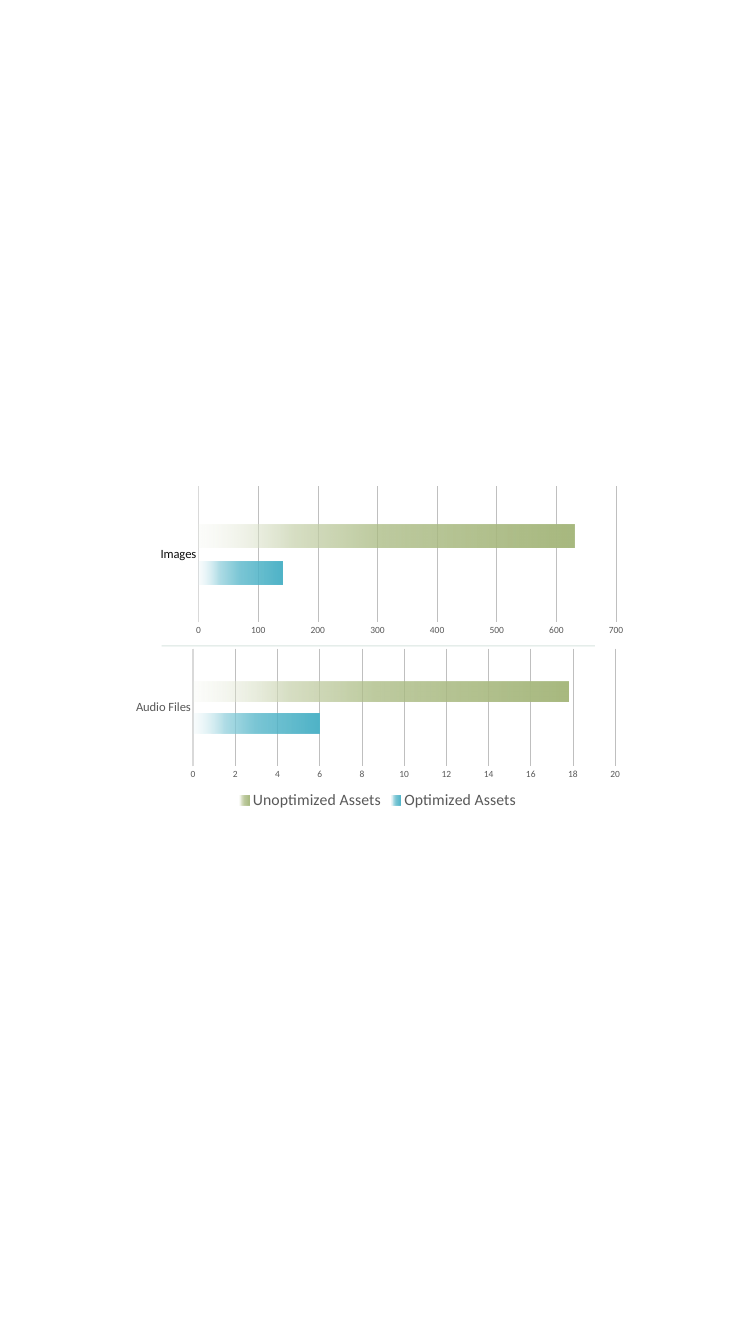
import pptx
import pptx.chart.data
import pptx.dml.color
import pptx.enum.chart
import pptx.enum.shapes
import pptx.oxml
import pptx.oxml.ns
import pptx.util
import lxml.etree

PX = 9144
HUES = {
    "black": "000000", "ink": "0D0D0D", "gray": "595959",
    "axis": "D9D9D9", "grid": "BFBFBF", "rule": "B5CDC4",
}
TEAL = ("50B4C8", "50B4C8", "96D2DE", "DCF0F4")
GREEN = ("A8B97F", "A8B97F", "CBD5B2", "EEF1E5")
STOPS = ((0, 100), (51, 75), (75, 75), (100, 15))
ENUM = pptx.enum.chart


def px(*nums):
    return [num * PX for num in nums]


def tint(name):
    return pptx.dml.color.RGBColor.from_string(HUES[name])


def style(text, size=10, hue="gray"):
    text.font.name = "Calibri"
    text.font.size = pptx.util.Pt(size)
    text.font.color.rgb = tint(hue)


def stroke(line, hue, width):
    line.color.rgb = tint(hue)
    line.width = pptx.util.Pt(width)


def fade(bar, hues):
    stops = "".join(
        f'<a:gs pos="{pos * 1000}"><a:srgbClr val="{hue}">'
        f'<a:alpha val="{alpha * 1000}"/></a:srgbClr></a:gs>'
        for (pos, alpha), hue in zip(STOPS, hues))
    grad = pptx.oxml.parse_xml(
        f'<a:gradFill {pptx.oxml.ns.nsdecls("a")} rotWithShape="1">'
        f'<a:gsLst>{stops}</a:gsLst><a:lin ang="10800000" scaled="0"/></a:gradFill>')
    bar.format.fill.solid()
    fill = bar.format.fill._xPr.find(pptx.oxml.ns.qn("a:solidFill"))
    fill.getparent().replace(fill, grad)
    bar.format.line.fill.background()
    bar.invert_if_negative = False


def frame(chart, **parts):
    area = chart._chartSpace.chart.plotArea
    for old in area.findall(pptx.oxml.ns.qn("c:layout")):
        area.remove(old)
    tags = '<c:layoutTarget val="inner"/><c:xMode val="edge"/><c:yMode val="edge"/>'
    tags += "".join(f'<c:{key} val="{val}"/>' for key, val in parts.items())
    area.insert(0, pptx.oxml.parse_xml(
        f'<c:layout {pptx.oxml.ns.nsdecls("c")}>'
        f'<c:manualLayout>{tags}</c:manualLayout></c:layout>'))


def bars(slide, box, label, rows, top, step, hue):
    data = pptx.chart.data.CategoryChartData()
    data.categories = [label]
    for name, val in rows:
        data.add_series(name, [val])
    chart = slide.shapes.add_chart(
        ENUM.XL_CHART_TYPE.BAR_CLUSTERED, *px(*box), data).chart
    style(chart, hue="black")
    chart.has_title = False
    chart.has_legend = False
    plot = chart.plots[0]
    plot.gap_width, plot.overlap = 326, -58
    plot.vary_by_categories = False
    for bar, hues in zip(plot.series, (TEAL, GREEN)):
        fade(bar, hues)
    cats, vals = chart.category_axis, chart.value_axis
    for axis in (cats, vals):
        axis.major_tick_mark = axis.minor_tick_mark = ENUM.XL_TICK_MARK.NONE
    style(cats.tick_labels, 16, hue)
    stroke(cats.format.line, "axis", 1.5)
    style(vals.tick_labels, 12)
    vals.format.line.fill.background()
    vals.has_major_gridlines = True
    stroke(vals.major_gridlines.format.line, "grid", 0.75)
    vals.minimum_scale, vals.maximum_scale, vals.major_unit = 0, top, step
    return chart


def audio(slide, box):
    rows = (("Optimized Assets", 6), ("Unoptimized Assets", 17.8))
    chart = bars(slide, box, "Audio Files", rows, 20, 2, "gray")
    chart.has_legend = True
    chart.legend.position = ENUM.XL_LEGEND_POSITION.BOTTOM
    chart.legend.include_in_layout = False
    style(chart.legend, 20)


def images(slide, box):
    rows = (("Series 1", 140), ("Series 2", 630))
    chart = bars(slide, box, "Images", rows, 700, 100, "ink")
    frame(chart, x=0.11, y=0.05, w=0.86, h=0.81)


def rule(slide, box):
    left, top, wide = box
    line = slide.shapes.add_connector(
        pptx.enum.shapes.MSO_CONNECTOR.STRAIGHT, *px(left, top, left + wide, top))
    stroke(line.line, "rule", 1.5)
    props = line._element.spPr
    lxml.etree.SubElement(props, pptx.oxml.ns.qn("a:effectLst"))
    color = next(props.iter(pptx.oxml.ns.qn("a:srgbClr")))
    lxml.etree.SubElement(color, pptx.oxml.ns.qn("a:alpha"), val="52000")


def main():
    deck = pptx.Presentation()
    deck.slide_width, deck.slide_height = px(1333, 2370)
    slide = deck.slides.add_slide(deck.slide_layouts[6])
    audio(slide, (222, 1138, 889, 296))
    images(slide, (256, 843, 856, 296))
    rule(slide, (285, 1139, 764))
    deck.save("out.pptx")


if __name__ == "__main__":
    main()
